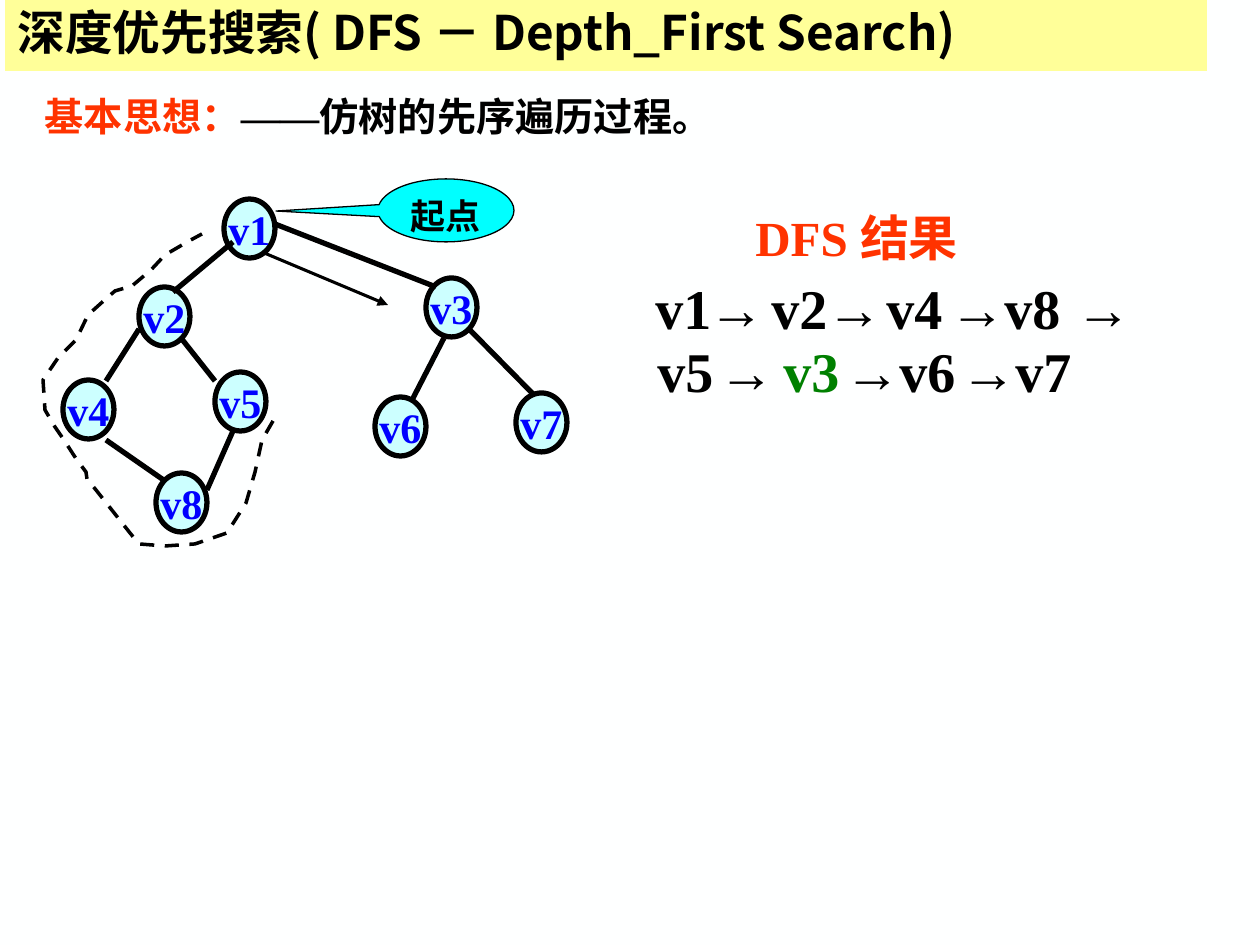
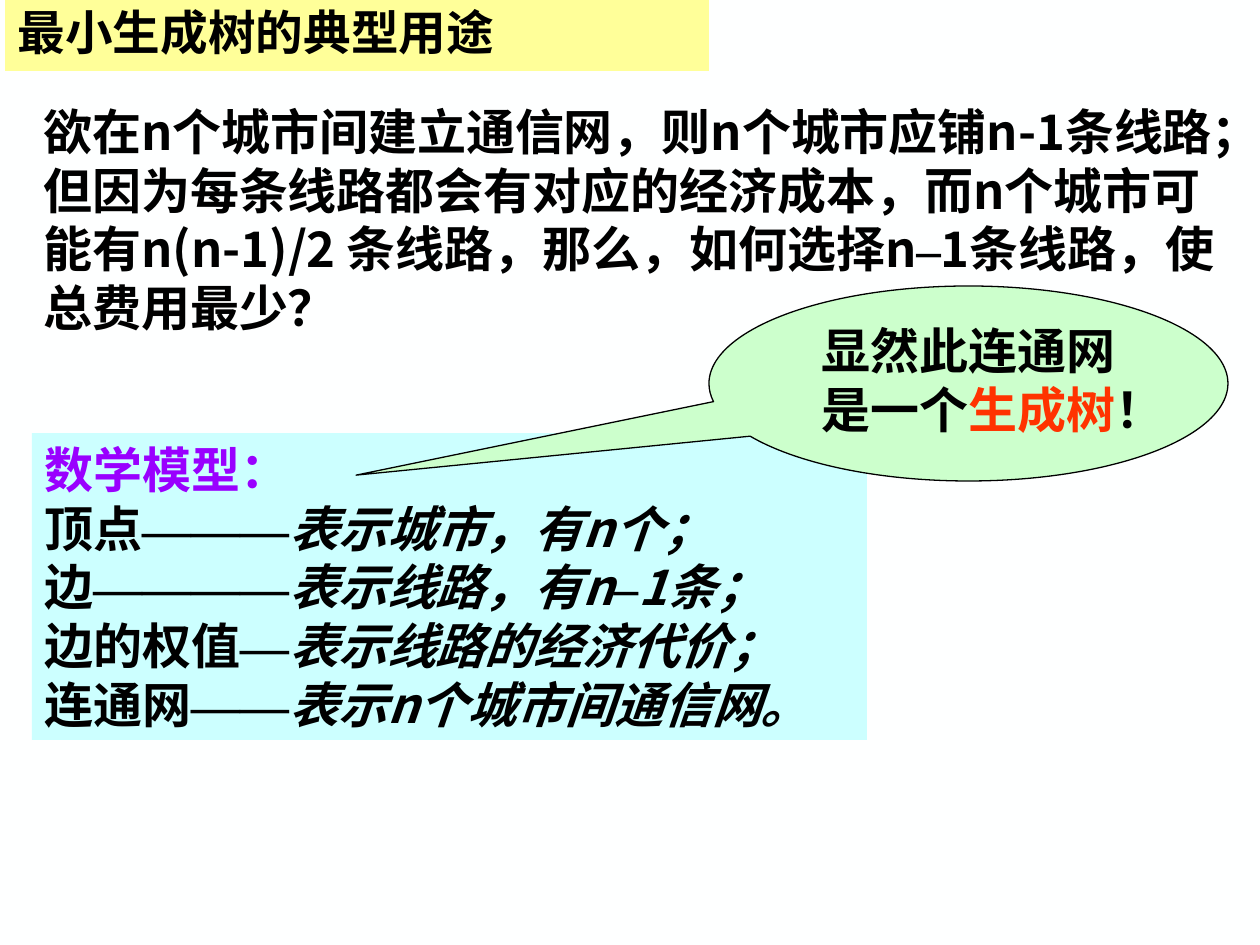
from dataclasses import dataclass
from typing import NamedTuple

from lxml import etree
from pptx import Presentation
from pptx.dml.color import RGBColor
from pptx.enum.dml import MSO_LINE
from pptx.enum.shapes import MSO_CONNECTOR, MSO_SHAPE
from pptx.enum.text import MSO_ANCHOR, MSO_AUTO_SIZE, PP_ALIGN
from pptx.oxml.ns import qn
from pptx.util import Emu, Pt

STRAIGHT = MSO_CONNECTOR.STRAIGHT
OVAL, CALLOUT = MSO_SHAPE.OVAL, MSO_SHAPE.OVAL_CALLOUT
TOP, MIDDLE = MSO_ANCHOR.TOP, MSO_ANCHOR.MIDDLE
LEFT, CENTER, JUSTIFY = PP_ALIGN.LEFT, PP_ALIGN.CENTER, PP_ALIGN.JUSTIFY
NO_FIT = MSO_AUTO_SIZE.NONE
DASH = MSO_LINE.DASH


@dataclass(frozen=True)
class Theme:
    sans: str = "Noto Sans CJK SC"
    serif: str = "Times New Roman"
    paper: str = "FEFFFF"
    ink: str = "000000"
    band: str = "FFFF99"
    red: str = "FF3300"
    blue: str = "0000FF"
    green: str = "008000"
    purple: str = "9900FF"
    pale_cyan: str = "CCFFFF"
    cyan: str = "00FFFF"
    pale_green: str = "CCFFCC"
    title: float = 27.2
    idea: float = 22.4
    text: float = 28
    node: float = 24
    order: float = 32
    start: float = 20
    thin: float = 0.75
    arrow: float = 1.75
    trail: float = 2
    thick: float = 3


T = Theme()


class Box(NamedTuple):
    x: int
    y: int
    w: int
    h: int


class Span(NamedTuple):
    text: str
    face: str = T.sans
    color: str = T.ink
    italic: bool = False


class Node(NamedTuple):
    name: str
    x: int
    y: int


class Edge(NamedTuple):
    x1: int
    y1: int
    x2: int
    y2: int


class Step(NamedTuple):
    text: str
    x: int
    color: str = T.ink


UPPER_NODES = [Node("v1", 224, 199), Node("v2", 139, 287),
               Node("v3", 426, 278), Node("v8", 156, 473)]
LOWER_NODES = [Node("v7", 516, 393), Node("v6", 375, 397),
               Node("v4", 63, 380), Node("v5", 215, 372)]
EDGES = [Edge(275, 224, 436, 287), Edge(233, 242, 173, 292),
         Edge(181, 338, 215, 381), Edge(469, 329, 537, 398),
         Edge(444, 338, 410, 404), Edge(139, 329, 106, 381),
         Edge(106, 440, 165, 481), Edge(233, 431, 207, 490)]
TRAIL = [(273, 421), (262, 440), (255, 472), (246, 503), (227, 533),
         (195, 544), (165, 546), (139, 544), (130, 533), (96, 490),
         (87, 479), (86, 472), (77, 460), (73, 454), (64, 440), (55, 427),
         (45, 410), (43, 380), (58, 358), (76, 340), (88, 315), (108, 297),
         (115, 291), (132, 286), (151, 270), (165, 255), (189, 241), (202, 234)]
ORDER_ROWS = {
    267: [Step("v1", 643), Step("→", 696), Step("v2", 759), Step("→", 814),
          Step("v4", 874), Step("→", 937), Step("v8", 992), Step("→", 1063)],
    330: [Step("v5", 645), Step("→", 706), Step("v3", 771, T.green),
          Step("→", 832), Step("v6", 887), Step("→", 948), Step("v7", 1003)],
}
MODEL = [("顶点", "———", ["表示城市，有n个；"]),
         ("边", "————", ["表示线路，有n", "–", "1条；"]),
         ("边的权值", "—", ["表示线路的经济代价；"]),
         ("连通网", "——", ["表示n个城市间通信网。"])]


def px(n: int) -> Emu:
    return Emu(round(n * 914400 / 126))


def rgb(color: str) -> RGBColor:
    return RGBColor.from_string(color)


def is_mark(text: str) -> bool:
    return not text.strip("—–→")


def face_for(text: str) -> str:
    return T.serif if is_mark(text) else T.sans


def write(sp, paragraphs: list[list[Span]], size: float, align=LEFT,
          anchor=TOP, spacing: float = 1.0, hang: int = 0, wrap: bool = True) -> None:
    tf = sp.text_frame
    tf.auto_size = NO_FIT
    tf.word_wrap = wrap
    tf.vertical_anchor = anchor
    for i, spans in enumerate(paragraphs):
        p = tf.paragraphs[0] if i == 0 else tf.add_paragraph()
        p.alignment = align
        p.line_spacing = spacing
        p.space_before = Pt(0)
        pPr = p._p.get_or_add_pPr()
        pPr.set("marL", str(px(hang)))
        pPr.set("indent", str(-px(hang)))
        etree.SubElement(pPr, qn("a:buNone"))
        for span in spans:
            r = p.add_run()
            r.text = span.text
            f = r.font
            f.name, f.size, f.bold, f.italic = span.face, Pt(size), True, span.italic
            f.color.rgb = rgb(span.color)
            ea = etree.SubElement(r._r.get_or_add_rPr(), qn("a:ea"))
            ea.set("typeface", face_for(span.text))


def place(sp, box: Box) -> None:
    sp.left, sp.top, sp.width, sp.height = map(px, box)


def paint(sp, color: str) -> None:
    sp.fill.solid()
    sp.fill.fore_color.rgb = rgb(color)


def stroke(line, width: float) -> None:
    line.color.rgb = rgb(T.ink)
    line.width = Pt(width)


def add_slide(prs, title: str, band_width: int):
    s = prs.slides.add_slide(prs.slide_layouts[1])
    paint(s.background, T.paper)
    place(s.shapes.title, Box(5, 0, band_width, 71))
    paint(s.shapes.title, T.band)
    write(s.shapes.title, [[Span(title)]], T.title, anchor=MIDDLE, spacing=0.9)
    return s


def add_text(s, box: Box, spans: list[Span], size: float) -> None:
    write(s.shapes.add_textbox(*map(px, box)), [spans], size)


def add_shape(s, kind, box: Box, fill: str, width: float):
    sp = s.shapes.add_shape(kind, *map(px, box))
    sp.shadow.inherit = False
    paint(sp, fill)
    stroke(sp.line, width)
    return sp


def add_callout(s, box: Box, tip: tuple[float, float], fill: str,
                spans: list[Span], size: float) -> None:
    sp = add_shape(s, CALLOUT, box, fill, T.thin)
    for i, value in enumerate(tip):
        sp.adjustments[i] = value
    write(sp, [spans], size, CENTER)


def add_node(s, node: Node) -> None:
    sp = add_shape(s, OVAL, Box(node.x, node.y, 51, 59), T.pale_cyan, T.thick)
    write(sp, [[Span(node.name, T.serif, T.blue)]], T.node, CENTER, MIDDLE, wrap=False)


def add_edge(s, edge: Edge, width: float, arrow: bool = False) -> None:
    c = s.shapes.add_connector(STRAIGHT, *map(px, edge))
    stroke(c.line, width)
    etree.SubElement(c._element.spPr, qn("a:effectLst"))
    if arrow:
        etree.SubElement(c.line._get_or_add_ln(), qn("a:tailEnd")).set("type", "triangle")


def add_trail(s) -> None:
    points = [(px(x), px(y)) for x, y in TRAIL]
    fb = s.shapes.build_freeform(*points[0])
    fb.add_line_segments(points[1:], close=False)
    sp = fb.convert_to_shape()
    sp.shadow.inherit = False
    sp.fill.background()
    stroke(sp.line, T.trail)
    sp.line.dash_style = DASH


def build_search(prs) -> None:
    s = add_slide(prs, "深度优先搜索( DFS － Depth_First Search)", 1202)
    idea = s.placeholders[1]
    place(idea, Box(32, 95, 1176, 63))
    write(idea, [[Span("基本思想：", color=T.red), Span("——", T.serif),
                  Span("仿树的先序遍历过程。", T.serif)]],
          T.idea, JUSTIFY, spacing=0.8, hang=39)
    for node in UPPER_NODES:
        add_node(s, node)
    for edge in EDGES:
        add_edge(s, edge, T.thick)
    for node in LOWER_NODES:
        add_node(s, node)
    add_text(s, Box(743, 201, 270, 72),
             [Span("DFS ", T.serif, T.red), Span("结果", color=T.red)], T.text)
    for y, steps in ORDER_ROWS.items():
        for step in steps:
            add_text(s, Box(step.x, y, 84, 81),
                     [Span(step.text, T.serif, step.color)], T.order)
    add_edge(s, Edge(262, 252, 388, 305), T.arrow, arrow=True)
    add_callout(s, Box(378, 179, 136, 63), (-1.25, 0.01), T.cyan,
                [Span("起点", T.serif)], T.start)
    add_trail(s)


def build_spanning_tree(prs) -> None:
    s = add_slide(prs, "最小生成树的典型用途", 704)
    add_text(s, Box(31, 95, 1197, 248),
             [Span("欲在n个城市间建立通信网，则n个城市应铺n-1条线路；但因为每条线路都会有"
                   "对应的经济成本，而n个城市可能有n(n-1)/2 条线路，那么，如何选择n"),
              Span("–", T.serif), Span("1条线路，使总费用最少？")], T.text)
    model = s.placeholders[1]
    place(model, Box(32, 433, 835, 307))
    paint(model, T.pale_cyan)
    rows = [[Span("数学模型：", color=T.purple)]]
    for term, rule, meaning in MODEL:
        rows.append([Span(term)] + [Span(t, face_for(t), italic=True)
                                    for t in [rule, *meaning]])
    write(model, rows, T.text, hang=53)
    add_callout(s, Box(709, 286, 519, 195), (-1.18, 0.47), T.pale_green,
                [Span("显然此连通网是一个", T.serif),
                 Span("生成树", T.serif, T.red), Span("！", T.serif)], T.text)


def main() -> None:
    prs = Presentation()
    prs.slide_width, prs.slide_height = px(1260), px(945)
    build_search(prs)
    build_spanning_tree(prs)
    prs.save("out.pptx")


if __name__ == "__main__":
    main()
